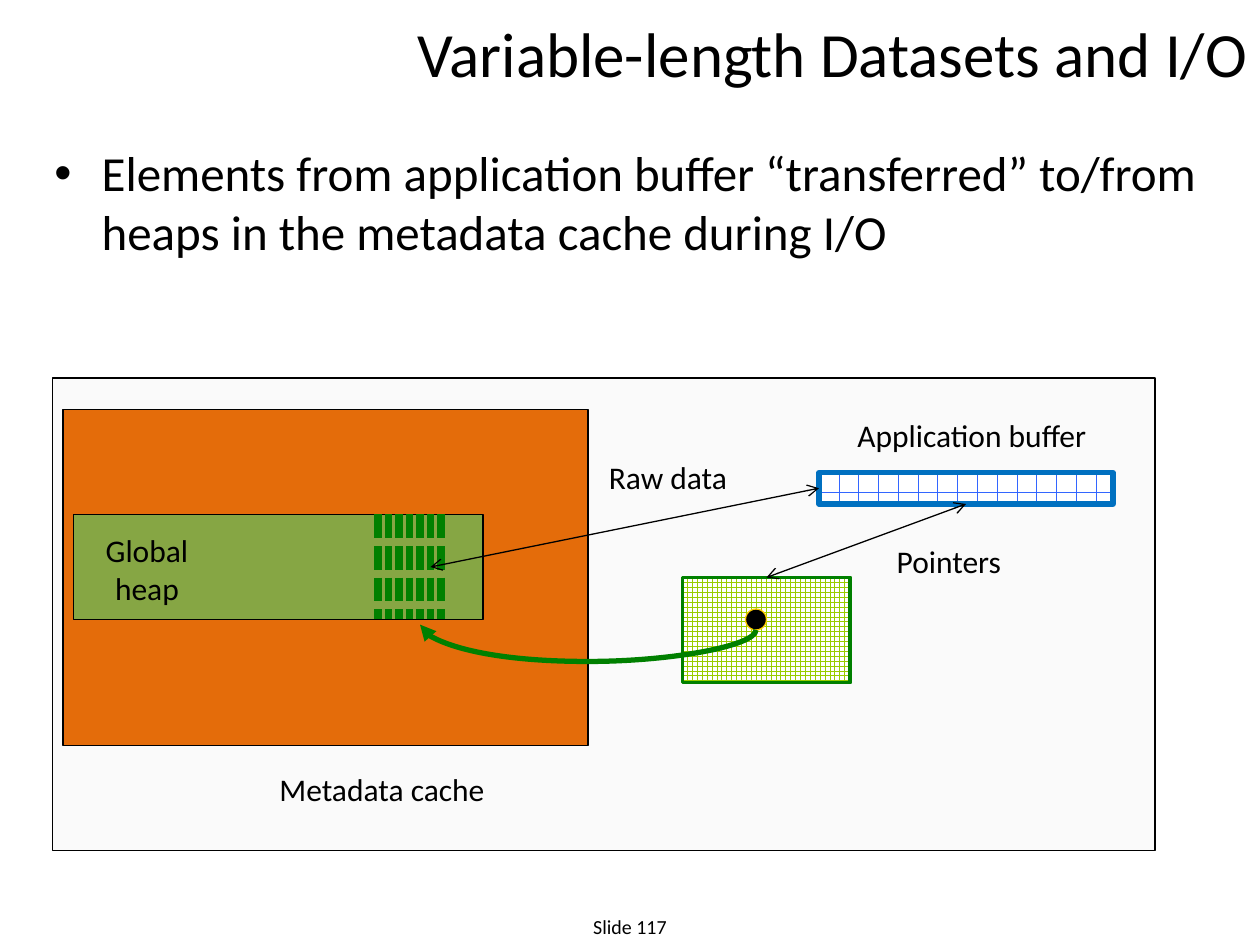
from lxml.etree import SubElement
from pptx import Presentation
from pptx.dml.color import RGBColor
from pptx.enum.dml import MSO_LINE, MSO_PATTERN
from pptx.enum.shapes import MSO_CONNECTOR, MSO_SHAPE
from pptx.enum.text import MSO_ANCHOR, PP_ALIGN
from pptx.oxml.ns import qn
from pptx.util import Pt

PX = 9525  # 96 px to the inch
BLACK = RGBColor(0x00, 0x00, 0x00)
WHITE = RGBColor(0xFF, 0xFF, 0xFF)
PALE_GREY = RGBColor(0xFA, 0xFA, 0xFA)
ORANGE = RGBColor(0xE4, 0x6C, 0x0A)
OLIVE = RGBColor(0x86, 0xA6, 0x44)
GREEN = RGBColor(0x00, 0x80, 0x00)
LIME = RGBColor(0x99, 0xCC, 0x00)
GOLD = RGBColor(0xFF, 0xCC, 0x00)
BLUE = RGBColor(0x00, 0x70, 0xC0)
GRID_BLUE = RGBColor(0x33, 0x66, 0xFF)

deck = Presentation()
deck.slide_width, deck.slide_height = 960 * PX, 720 * PX
page = deck.slides.add_slide(deck.slide_layouts[6])


def add_text(text, place, size, align=PP_ALIGN.CENTER, wrap=True):
    box = page.shapes.add_textbox(*(value * PX for value in place))
    box.text_frame.word_wrap = wrap
    para = box.text_frame.paragraphs[0]
    para.alignment = align
    span = para.add_run()
    span.text = text
    font_format = {"name": "Calibri", "size": Pt(size)}
    for name, value in font_format.items():
        setattr(span.font, name, value)
    span.font.color.rgb = BLACK
    return box


def add_line(start, end, color, width, kind=MSO_CONNECTOR.STRAIGHT, **arrows):
    line = page.shapes.add_connector(kind, *(value * PX for value in start + end))
    line.line.color.rgb = color
    line.line.width = Pt(width)
    outline = line.line._get_or_add_ln()
    for tag, arrow in arrows.items():
        SubElement(outline, qn(f"a:{tag}"), type=arrow)
    SubElement(line._element.spPr, qn("a:effectLst"))
    return line


# Title, bullet and footer
title = add_text("Variable-length Datasets and I/O", (136, 0, 824, 80), 36, PP_ALIGN.RIGHT)
title.text_frame.vertical_anchor = MSO_ANCHOR.MIDDLE

body = add_text(
    "Elements from application buffer “transferred” to/from heaps in the metadata cache during I/O",
    (32, 104, 896, 160), 28, PP_ALIGN.LEFT)
bullet_format = body.text_frame.paragraphs[0]._p.get_or_add_pPr()
bullet_format.set("marL", str(36 * PX))
bullet_format.set("indent", str(-36 * PX))
SubElement(bullet_format, qn("a:buFont"), typeface="Arial")
SubElement(bullet_format, qn("a:buChar"), char="•")

footer = add_text("Slide 117", (384, 696, 192, 24), 11.4)
footer.text_frame.paragraphs[0].line_spacing = 0.8

# Memory blocks: place, fill (colour, or pattern with two colours), outline
blocks = [
    (MSO_SHAPE.RECTANGLE, (40, 288, 840, 360), PALE_GREY, BLACK, 0.75),
    (MSO_SHAPE.RECTANGLE, (520, 440, 128, 80), (MSO_PATTERN.LARGE_GRID, LIME), GREEN, 2.25),
    (MSO_SHAPE.RECTANGLE, (48, 312, 400, 256), ORANGE, BLACK, 0.75),
    (MSO_SHAPE.RECTANGLE, (56, 392, 312, 80), OLIVE, BLACK, 0.75),
    (MSO_SHAPE.RECTANGLE, (624, 360, 224, 24), (MSO_PATTERN.DOTTED_GRID, GRID_BLUE), BLUE, 3),
    (MSO_SHAPE.OVAL, (568, 464, 16, 16), BLACK, GOLD, 0.75),
]
for kind, place, fill, outline_color, width in blocks:
    block = page.shapes.add_shape(kind, *(value * PX for value in place))
    block.shadow.inherit = False
    if isinstance(fill, RGBColor):
        block.fill.solid()
        block.fill.fore_color.rgb = fill
    else:
        block.fill.patterned()
        block.fill.pattern, block.fill.fore_color.rgb = fill
        block.fill.back_color.rgb = WHITE
    block.line.color.rgb = outline_color
    block.line.width = Pt(width)

# Dotted heap elements
for column in range(7):
    x = 288 + 8 * column
    dots = add_line((x, 392), (x, 472), GREEN, 4.5)
    dots.line.dash_style = MSO_LINE.SQUARE_DOT

# Labels
add_text("Global heap", (64, 400, 96, 68), 18)
for label, place in [
    ("Application buffer", (642, 312, 197, 38)),
    ("Raw data", (454, 344, 110, 38)),
    ("Metadata cache", (202, 582, 178, 38)),
    ("Pointers", (673, 408, 100, 38)),
]:
    add_text(label, place, 18, wrap=False)

# Curved pointer from the dot to the heap: a quarter turn of a tall, thin curve
curve = add_line((446, 350), (450, 606), GREEN, 3, MSO_CONNECTOR.CURVE, tailEnd="triangle")
transform = curve._element.spPr.find(qn("a:xfrm"))
transform.set("rot", str(270 * 60000))
transform.set("flipV", "1")
adjustments = curve._element.spPr.find(qn("a:prstGeom")).get_or_add_avLst()
SubElement(adjustments, qn("a:gd"), name="adj1", fmla="val -600000")

# Two-way transfers
for start, end in [((328, 432), (624, 372)), ((584, 440), (736, 384))]:
    add_line(start, end, BLACK, 0.75, headEnd="arrow", tailEnd="arrow")

deck.save("out.pptx")
